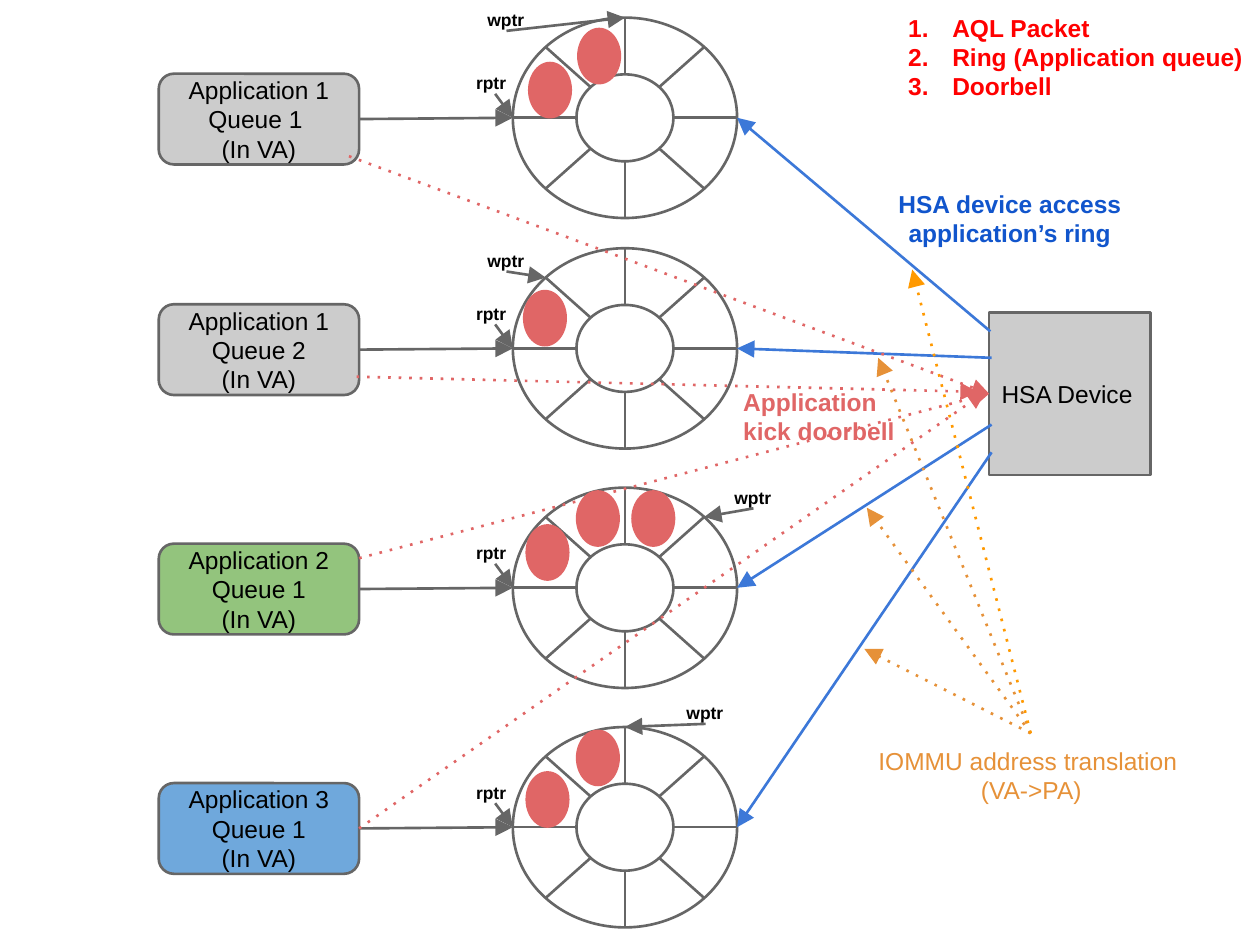
from math import cos, radians, sin

from lxml import etree
from pptx import Presentation
from pptx.dml.color import RGBColor
from pptx.enum.shapes import MSO_CONNECTOR, MSO_SHAPE
from pptx.enum.text import MSO_ANCHOR, PP_ALIGN
from pptx.oxml.ns import qn
from pptx.util import Inches, Pt

LEFT, CENTER = PP_ALIGN.LEFT, PP_ALIGN.CENTER
TOP, MIDDLE = MSO_ANCHOR.TOP, MSO_ANCHOR.MIDDLE
RECT, ROUNDED, OVAL = MSO_SHAPE.RECTANGLE, MSO_SHAPE.ROUNDED_RECTANGLE, MSO_SHAPE.OVAL
STRAIGHT = MSO_CONNECTOR.STRAIGHT
LEFT_SIDE, RIGHT_SIDE = 1, 3

COLUMNS, ROWS = 100, 75
GRAY, SILVER, GREEN, SKY = "666666", "CCCCCC", "93C47D", "6FA8DC"
BLUE, NAVY, CORAL, ORANGE, AMBER, RED = "3C78D8", "1155CC", "E06666", "E69138", "FF9900", "FF0000"


def color(hex_string):
    return RGBColor.from_string(hex_string)


def write(frame, text, size=14, ink="000000", bold=False, align=LEFT, anchor=TOP, numbered=False):
    """Fill a text frame, one paragraph per line of text."""
    frame.word_wrap = True
    frame.vertical_anchor = anchor
    frame.margin_left = frame.margin_right = Inches(0.1)
    frame.margin_top = frame.margin_bottom = Inches(0.1)
    for index, line in enumerate(text.split("\n")):
        paragraph = frame.paragraphs[0] if index == 0 else frame.add_paragraph()
        paragraph.alignment = align
        if numbered:
            properties = paragraph._p.get_or_add_pPr()
            properties.set("marL", str(Inches(0.5)))
            properties.set("indent", str(Inches(-0.35)))
            bullet_color = etree.SubElement(properties, qn("a:buClr"))
            etree.SubElement(bullet_color, qn("a:srgbClr"), val=ink)
            etree.SubElement(properties, qn("a:buAutoNum"), type="arabicPeriod")
        run = paragraph.add_run()
        run.text = line
        run.font.name, run.font.size, run.font.bold = "Arial", Pt(size), bold
        run.font.color.rgb = color(ink)


class Diagram:
    """Draws on one slide; every length is in grid columns and rows."""

    def __init__(self, deck):
        self.slide = deck.slides.add_slide(deck.slide_layouts[6])
        self.column = deck.slide_width / COLUMNS
        self.row = deck.slide_height / ROWS
        self.stroke = Pt(1.5)

    def place(self, *lengths):
        steps = (self.column, self.row) * 2
        return [round(length * step) for length, step in zip(lengths, steps)]

    def shape(self, kind, x, y, width, height, fill=None, outline=GRAY):
        shape = self.slide.shapes.add_shape(kind, *self.place(x, y, width, height))
        shape.shadow.inherit = False
        if fill:
            shape.fill.solid()
            shape.fill.fore_color.rgb = color(fill)
        else:
            shape.fill.background()
        if outline:
            shape.line.color.rgb = color(outline)
            shape.line.width = self.stroke
        else:
            shape.line.fill.background()
        return shape

    def label(self, x, y, width, height, text, **style):
        box = self.slide.shapes.add_textbox(*self.place(x, y, width, height))
        write(box.text_frame, text, **style)

    def line(self, start, end, ink=GRAY, arrow=True, dotted=False):
        line = self.slide.shapes.add_connector(STRAIGHT, *self.place(*start, *end))
        line.line.color.rgb = color(ink)
        line.line.width = self.stroke
        properties = line._element.spPr
        outline = properties.find(qn("a:ln"))
        if dotted:
            etree.SubElement(outline, qn("a:prstDash"), val="dot")
        if arrow:
            etree.SubElement(outline, qn("a:tailEnd"), type="triangle", w="lg", len="lg")
        etree.SubElement(properties, qn("a:effectLst"))
        return line

    def ring(self, middle):
        """Ring buffer of eight slots."""
        for rx, ry in (OUTER, INNER):
            self.shape(OVAL, RING_X - rx, middle - ry, 2 * rx, 2 * ry)
        for angle in range(0, 360, 45):
            self.line(on_ring(middle, angle, INNER), on_ring(middle, angle), arrow=False)

    def queue(self, middle, text, fill):
        box = self.shape(ROUNDED, 12.6, middle - 3.5, 15.9, 7.2, fill)
        write(box.text_frame, text, align=CENTER, anchor=MIDDLE)
        self.line((28.5, middle + 0.1), on_ring(middle, 180)).begin_connect(box, RIGHT_SIDE)
        return box

    def pointer(self, x, y, text, target, tail):
        """Small label with an arrow to a slot border."""
        self.line((x + 2.5, y + tail), target)
        self.label(x, y, 5, 2.6, text, size=10, bold=True)


RING_X = 49.6
OUTER, INNER = (8.9, 7.95), (3.85, 3.45)


def on_ring(middle, angle, radii=OUTER):
    turn = radians(angle)
    return RING_X + radii[0] * cos(turn), middle + radii[1] * sin(turn)


# Per queue: ring middle, text, fill, packet offsets, wptr label place, wptr slot angle
QUEUES = [
    (9.35, "Application 1\nQueue 1 \n(In VA)", SILVER, [(-7.7, -4.45), (-3.8, -7.15)], (37.7, -0.1), 270),
    (27.65, "Application 1\nQueue 2\n(In VA)", SILVER, [(-8.1, -4.65)], (37.7, 19), 225),
    (46.65, "Application 2\nQueue 1\n(In VA)", GREEN,
     [(-7.9, -5.05), (-3.9, -7.75), (0.5, -7.75)], (57.3, 37.8), 315),
    (65.65, "Application 3\nQueue 1\n(In VA)", SKY, [(-7.9, -4.45), (-3.9, -7.75)], (53.5, 54.9), 270),
]
ACCESS_STARTS = [(78.6, 26.3), (78.7, 28.4), (78.7, 33.7), (78.7, 35.9)]
DOORBELLS = [((27.7, 12.4), (78.5, 31.2)), ((28.3, 29.9), (77.6, 31.1)),
             ((28.5, 44.3), (78.5, 31.2)), ((28.5, 65.8), (78.2, 31.1))]
TRANSLATIONS = [((68.8, 40.3), ORANGE), ((68.6, 51.5), ORANGE),
                ((69.7, 28.4), ORANGE), ((72.4, 21.4), AMBER)]


def main():
    deck = Presentation()
    deck.slide_width, deck.slide_height = Inches(10), Inches(7.5)
    diagram = Diagram(deck)

    # Application queues, their rings and the device
    boxes = []
    for middle, text, fill, *_ in QUEUES:
        diagram.ring(middle)
        boxes.append(diagram.queue(middle, text, fill))
    device = diagram.shape(RECT, 78.5, 24.8, 12.8, 12.9, SILVER)
    write(device.text_frame, "HSA Device", anchor=MIDDLE)

    # Device access to the rings
    for start, (middle, *_) in zip(ACCESS_STARTS, QUEUES):
        diagram.line(start, on_ring(middle, 0), BLUE)
    diagram.label(69, 14, 22.3, 9, "HSA device access application’s ring",
                  ink=NAVY, bold=True, align=CENTER)

    # Doorbells
    doorbells = [diagram.line(*ends, CORAL, dotted=True) for ends in DOORBELLS]
    for doorbell in doorbells[::2]:
        doorbell.end_connect(device, LEFT_SIDE)
    doorbells[-1].begin_connect(boxes[-1], RIGHT_SIDE)
    diagram.label(58, 29.7, 14.4, 6.9, "Application kick doorbell", ink=CORAL, bold=True)

    # Legend
    diagram.label(69.6, 0, 30.4, 9, "AQL Packet\nRing (Application queue)\nDoorbell",
                  ink=RED, bold=True, numbered=True)

    # Packets, read and write pointers
    for middle, _, _, packets, wptr, slot in QUEUES:
        for dx, dy in packets:
            diagram.shape(OVAL, RING_X + dx, middle + dy, 3.5, 4.5, CORAL, outline=None)
        diagram.pointer(36.8, middle - 4.45, "rptr", on_ring(middle, 180), 2.55)
        diagram.pointer(*wptr, "wptr", on_ring(middle, slot), 2.55)

    # Address translation
    for target, ink in TRANSLATIONS:
        diagram.line((81.8, 58.2), target, ink, dotted=True)
    diagram.label(68.6, 58.2, 26.5, 6.9, "IOMMU address translation \n(VA->PA)",
                  ink=ORANGE, align=CENTER)

    deck.save("out.pptx")


if __name__ == "__main__":
    main()
